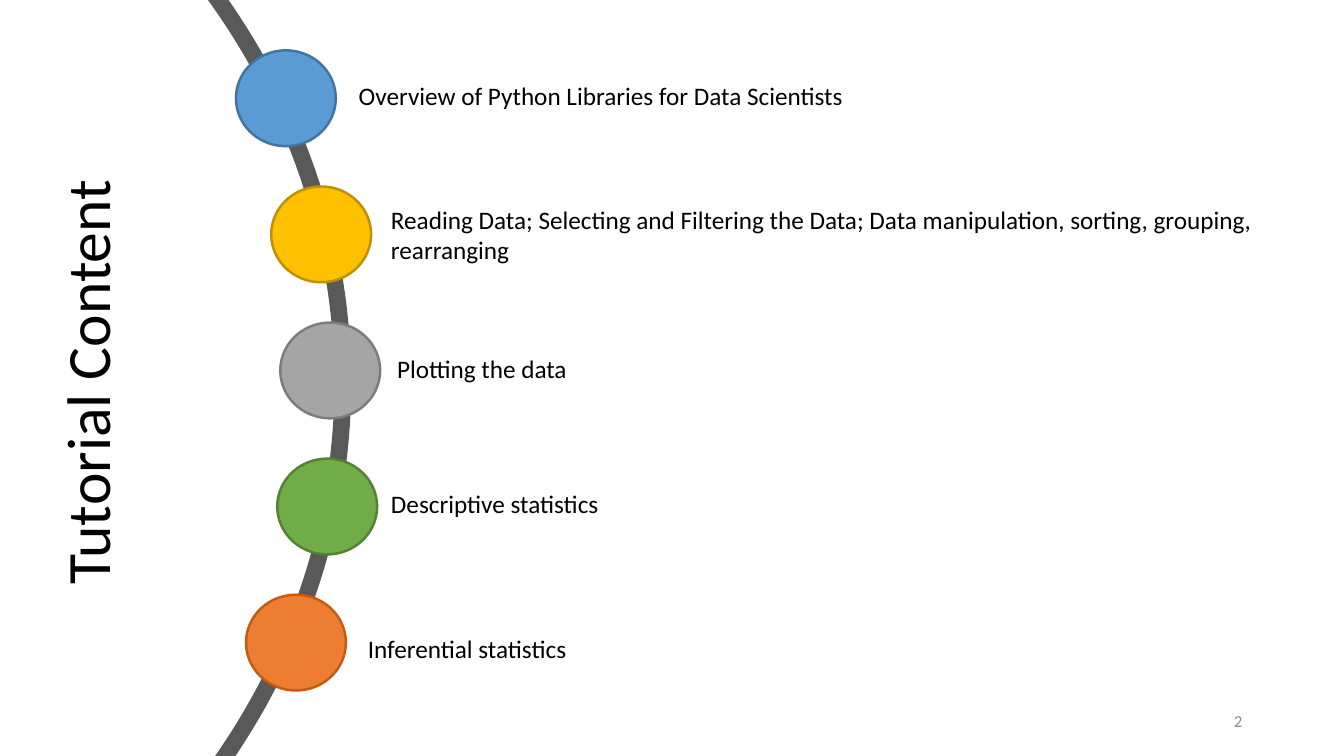
from pptx import Presentation
from pptx.dml.color import RGBColor as RGB
from pptx.enum.shapes import MSO_SHAPE as Kind
from pptx.enum.text import MSO_ANCHOR as Anchor, PP_ALIGN as Align
from pptx.util import Inches, Pt

BLACK = RGB(0x00, 0x00, 0x00)
GRAY = RGB(0x8C, 0x8C, 0x8C)
ARC = RGB(0x59, 0x59, 0x59)
BLUE, NAVY = RGB(0x5B, 0x9B, 0xD5), RGB(0x43, 0x73, 0x9E)
GOLD, OCHRE = RGB(0xFF, 0xC0, 0x00), RGB(0xBF, 0x90, 0x00)
SILVER, STEEL = RGB(0xA5, 0xA5, 0xA5), RGB(0x7C, 0x7C, 0x7C)
GREEN, MOSS = RGB(0x70, 0xAD, 0x47), RGB(0x54, 0x82, 0x35)
ORANGE, RUST = RGB(0xED, 0x7D, 0x31), RGB(0xC5, 0x5A, 0x11)

# Content: text, its left, top, width and height, dot left, dot fill and line
TITLE = "Tutorial Content"
TOPICS = [
    ("Overview of Python Libraries for Data Scientists",
     (3.46, 0.75, 7.2, 0.4), 2.34, BLUE, NAVY),
    ("Reading Data; Selecting and Filtering the Data; "
     "Data manipulation, sorting, grouping, rearranging",
     (3.78, 1.98, 9, 0.71), 2.69, GOLD, OCHRE),
    ("Plotting the data", (3.84, 3.46, 5.77, 0.4), 2.78, SILVER, STEEL),
    ("Descriptive statistics", (3.78, 4.8, 5.77, 0.4), 2.75, GREEN, MOSS),
    ("Inferential statistics", (3.55, 6.23, 5.77, 0.4), 2.44, ORANGE, RUST),
]
DOT_TOP, DOT_STEP = 0.5, 1.35
DOT_W, DOT_H = 0.99, 0.95

# Text formats
HEAD = {"size": Pt(44), "name": "Calibri"}
BODY = {"size": Pt(18), "name": "Calibri"}
FOOT = {"size": Pt(12), "name": "Calibri"}

deck = Presentation()
deck.slide_width, deck.slide_height = Inches(13.33), Inches(7.5)
slide = deck.slides.add_slide(deck.slide_layouts[5])
shapes = slide.shapes


def write(frame, text, style, color=BLACK, align=Align.LEFT):
    frame.word_wrap = True
    para = frame.paragraphs[0]
    para.alignment = align
    run = para.add_run()
    run.text = text
    for key, value in style.items():
        setattr(run.font, key, value)
    run.font.color.rgb = color
    return para


def label(box, *args):
    frame = shapes.add_textbox(*map(Inches, box)).text_frame
    write(frame, *args)
    return frame


def oval(box, edge, width, fill=None):
    shape = shapes.add_shape(Kind.OVAL, *map(Inches, box))
    shape.shadow.inherit = False
    shape.line.color.rgb = edge
    shape.line.width = Pt(width)
    if fill is None:
        shape.fill.background()
    else:
        shape.fill.solid()
        shape.fill.fore_color.rgb = fill


# Title, turned to read upwards
title = shapes.title
place = {"left": -2.15, "top": 2.13, "width": 6.09, "height": 1.45}
for key, value in place.items():
    setattr(title, key, Inches(value))
title.rotation = 270
title.text_frame.vertical_anchor = Anchor.MIDDLE
write(title.text_frame, TITLE, HEAD).line_spacing = 0.9

# Page number
foot = label((9.42, 6.95, 3, 0.4), "2", FOOT, GRAY, Align.RIGHT)
foot.vertical_anchor = Anchor.MIDDLE

# Arc, then a dot and a label for each topic
oval((-13.05, -3.41, 16.45, 14.42), ARC, 12)
for row, (text, box, left, fill, edge) in enumerate(TOPICS):
    top = DOT_TOP + row * DOT_STEP
    oval((left, top, DOT_W, DOT_H), edge, 1.75, fill)
    label(box, text, BODY)

deck.save("out.pptx")
